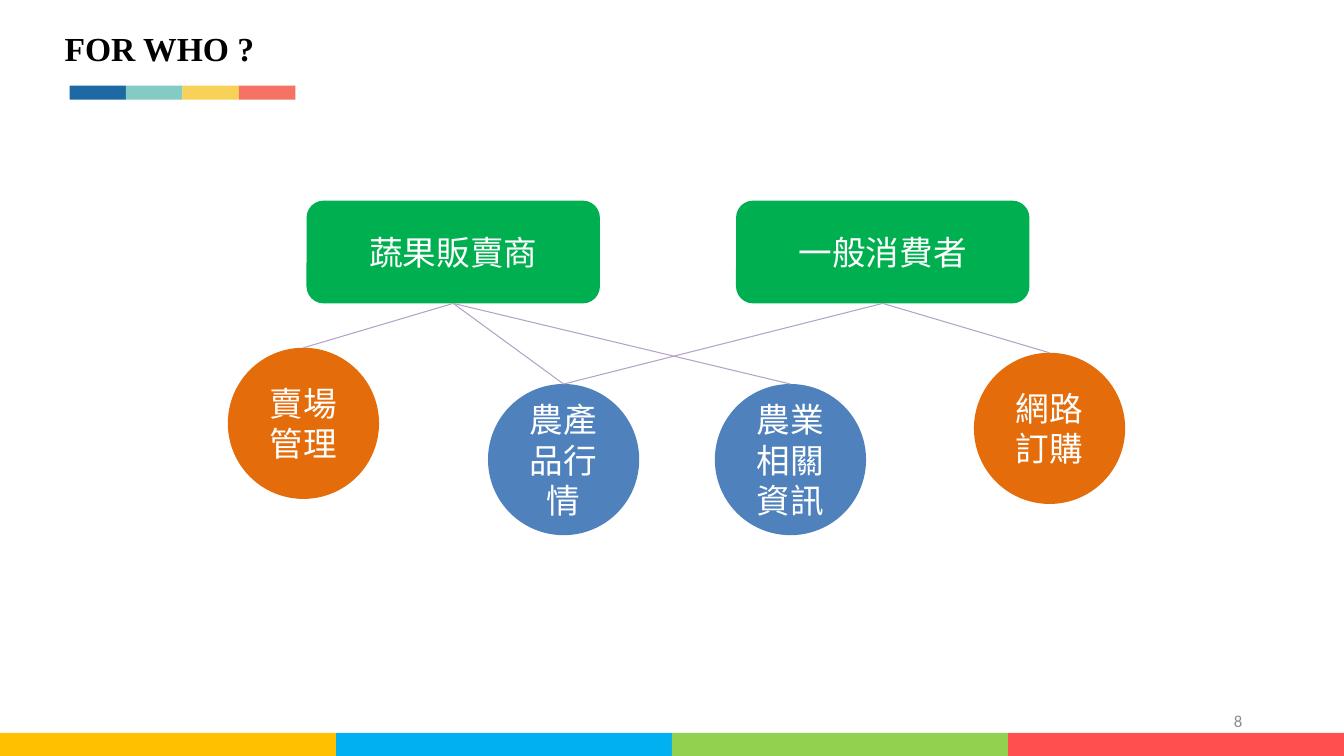
from pptx import Presentation
from pptx.dml.color import RGBColor
from pptx.enum.shapes import MSO_CONNECTOR as CONN, MSO_SHAPE as SHAPE
from pptx.enum.text import MSO_ANCHOR as ANCHOR, MSO_AUTO_SIZE as AUTO, PP_ALIGN as ALIGN
from pptx.oxml.ns import qn
from pptx.util import Inches, Pt
from lxml import etree

COLORS = {
    "black": "000000", "white": "FFFFFF", "gray": "8C8C8C", "line": "B3A2C7",
    "audience": "00B050", "shared": "4F81BD", "own": "E46C0A",
}
FOOTER = ["FFC000", "00B0F0", "92D050", "FF4F4F"]
ACCENT = ["1D69A3", "84CBC3", "F8D158", "F57365"]
CJK = "Noto Sans CJK SC"


class Deck:
    """Holds the style and the current slide, and draws each kind of element."""

    def __init__(self, prs):
        self.prs = prs
        self.s = prs.slides.add_slide(prs.slide_layouts[5])

    def set_text(self, sp, text, font, size, color, align, bold=False):
        tf = sp.text_frame
        tf.text = text
        tf.word_wrap = True
        tf.auto_size = AUTO.NONE
        tf.vertical_anchor = ANCHOR.MIDDLE
        p = tf.paragraphs[0]
        p.alignment = align
        r = p.runs[0]
        r.font.name, r.font.size, r.font.bold = font, Pt(size), bold
        r.font.color.rgb = RGBColor.from_string(color)
        etree.SubElement(r.font._element, qn("a:ea")).set("typeface", font)

    def title(self, text, *box):
        sp = self.s.shapes.title
        sp.left, sp.top, sp.width, sp.height = map(Inches, box)
        self.set_text(sp, text, "Times New Roman", 24, COLORS["black"], ALIGN.LEFT, True)

    def label(self, text, *box):
        sp = self.s.shapes.add_textbox(*map(Inches, box))
        self.set_text(sp, text, "Calibri", 12, COLORS["gray"], ALIGN.RIGHT)

    def shape(self, kind, color, *box):
        sp = self.s.shapes.add_shape(kind, *map(Inches, box))
        sp.shadow.inherit = False
        sp.fill.solid()
        sp.fill.fore_color.rgb = RGBColor.from_string(color)
        sp.line.fill.background()
        return sp

    def stripes(self, colors, left, top, width, height):
        for i, color in enumerate(colors):
            self.shape(SHAPE.RECTANGLE, color, left + i * width, top, width, height)

    def node(self, kind, text, color, *box):
        sp = self.shape(kind, COLORS[color], *box)
        self.set_text(sp, text, CJK, 24, COLORS["white"], ALIGN.CENTER)
        return sp

    def link(self, upper, lower):
        c = self.s.shapes.add_connector(CONN.STRAIGHT, 0, 0, 0, 0)
        c.begin_connect(upper, 2)
        c.end_connect(lower, 0)
        c.line.color.rgb = RGBColor.from_string(COLORS["line"])
        c.line.width = Pt(0.75)
        etree.SubElement(c._element.spPr, qn("a:effectLst"))


def main():
    prs = Presentation()
    prs.slide_width, prs.slide_height = Inches(13.33), Inches(7.5)
    deck = Deck(prs)
    deck.title("FOR WHO ?", 0.54, 0.23, 2.94, 0.5)
    deck.stripes(FOOTER, 0, 7.27, 13.33 / 4, 0.23)
    deck.stripes(ACCENT, 0.69, 0.85, 0.56, 0.14)

    seller, consumer = [
        deck.node(SHAPE.ROUNDED_RECTANGLE, text, "audience", left, 1.99, 2.91, 1.02)
        for text, left in [("蔬果販賣商", 3.04), ("一般消費者", 7.3)]
    ]
    prices, info, store, orders = [
        deck.node(SHAPE.OVAL, text, color, left, top, 1.5, 1.5)
        for text, color, left, top in [
            ("農產品行情", "shared", 4.84, 3.81),
            ("農業相關資訊", "shared", 7.09, 3.81),
            ("賣場管理", "own", 2.26, 3.45),
            ("網路訂購", "own", 9.66, 3.5),
        ]
    ]
    for upper, lowers in [(seller, [store, prices, info]), (consumer, [prices, orders])]:
        for lower in lowers:
            deck.link(upper, lower)

    deck.label("8", 9.42, 6.95, 3, 0.4)
    prs.save("out.pptx")


if __name__ == "__main__":
    main()
